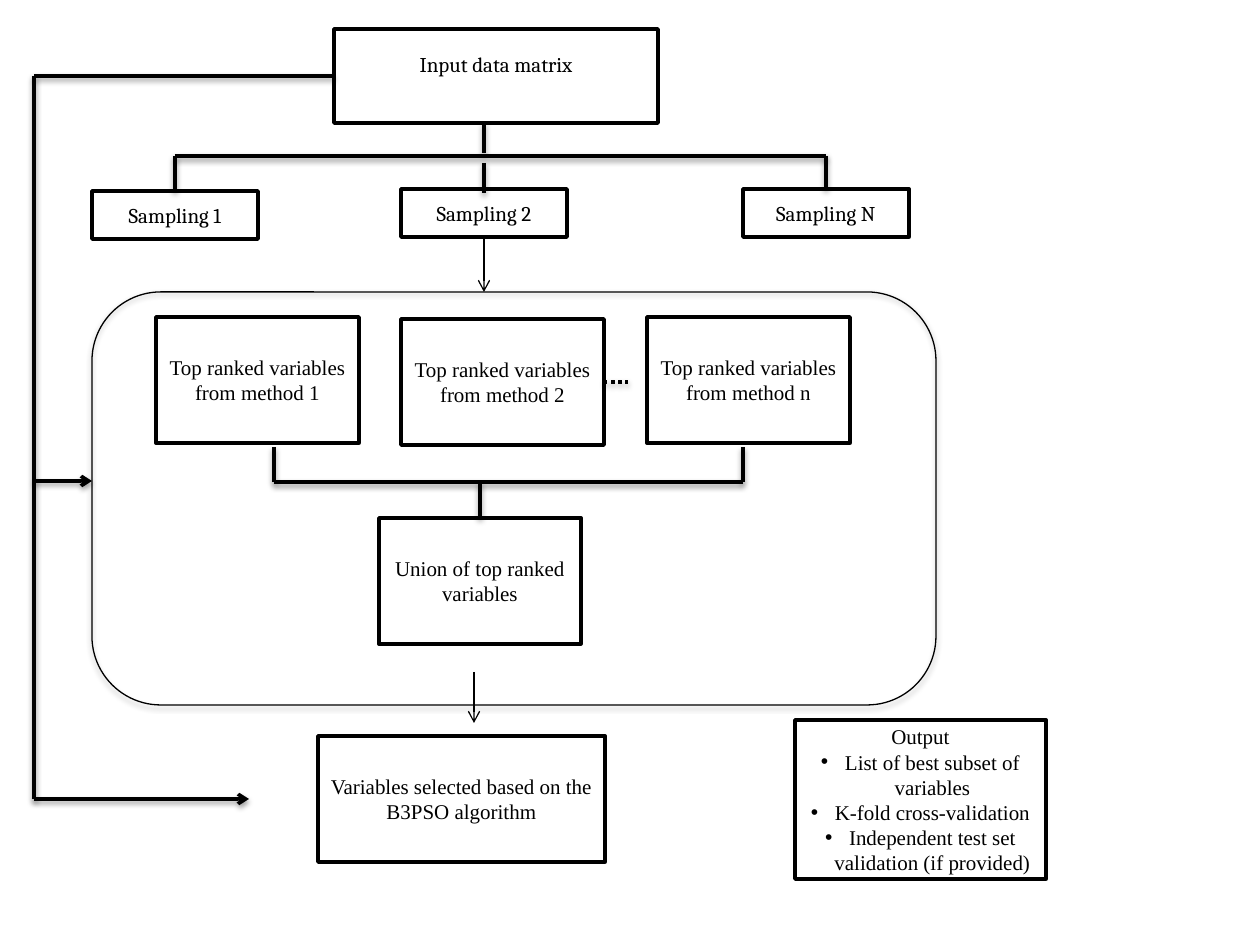
from pptx import Presentation
from pptx.dml.color import RGBColor
from pptx.enum.dml import MSO_LINE
from pptx.enum.shapes import MSO_CONNECTOR, MSO_SHAPE
from pptx.enum.text import MSO_ANCHOR, PP_ALIGN
from pptx.oxml.ns import qn
from pptx.util import Pt
from lxml.etree import SubElement

EMU_PER_PX = 914400 / 126
BLACK = "000000"
SERIF, HEADING = "Times New Roman", "Cambria"
TOP, LEFT, BOTTOM, RIGHT = range(4)


def px(length):
    """Turn pixels into EMU."""
    return round(length * EMU_PER_PX)


def color(hex_string):
    """Turn a hex string into a colour."""
    return RGBColor.from_string(hex_string)


def set_effect(shape, opacity=0):
    """Give a shape a soft shadow below it, or none at zero opacity."""
    effects = SubElement(shape.element.spPr, qn("a:effectLst"))
    if opacity:
        shadow = SubElement(effects, qn("a:outerShdw"), blurRad=str(Pt(3.1)),
                            dist=str(Pt(1.7)), dir="5400000", rotWithShape="0")
        tint = SubElement(shadow, qn("a:srgbClr"), val=BLACK)
        SubElement(tint, qn("a:alpha"), val=str(opacity * 1000))


def add_outline(slide, box, kind=MSO_SHAPE.FLOWCHART_PROCESS, width=2, opacity=0):
    """Add an unfilled shape with a black line."""
    shape = slide.shapes.add_shape(kind, *map(px, box))
    shape.fill.background()
    shape.line.color.rgb = color(BLACK)
    shape.line.width = Pt(width)
    set_effect(shape, opacity)
    return shape


def add_process(slide, box, text, font=SERIF):
    """Add a process box with centred text."""
    shape = add_outline(slide, box)
    frame = shape.text_frame
    frame.text = text
    frame.word_wrap = True
    frame.vertical_anchor = MSO_ANCHOR.MIDDLE
    for paragraph in frame.paragraphs:
        paragraph.alignment = PP_ALIGN.CENTER
        for run in paragraph.runs:
            run.font.name = font
            run.font.size = Pt(12)
            run.font.color.rgb = color(BLACK)
    return shape


def add_line(slide, start, end, width=2, opacity=38, arrow=False, dash=None,
             begin=None, finish=None):
    """Add a straight line, joined to (shape, side) pairs where given."""
    line = slide.shapes.add_connector(MSO_CONNECTOR.STRAIGHT, *map(px, start + end))
    if begin:
        line.begin_connect(*begin)
    if finish:
        line.end_connect(*finish)
    line.line.color.rgb = color(BLACK)
    line.line.width = Pt(width)
    if dash:
        line.line.dash_style = dash
    if arrow:
        SubElement(line.element.spPr.find(qn("a:ln")), qn("a:tailEnd"), type="arrow")
    set_effect(line, opacity)
    return line


def add_input(slide, box):
    """Add the input box, its text set a little above the middle."""
    shape = add_process(slide, box, "Input data matrix", HEADING)
    shape.text_frame.margin_bottom = px(30)
    return shape


def add_sampling(slide, box):
    """Add the sampling boxes under their branching line and the arrow below."""
    left, top, width, height = box
    middle, bar = left + 392, top + 33
    add_line(slide, (middle, top), (middle, top + 30))
    add_line(slide, (left + 83, bar), (left + width - 83, bar))
    samplings = [
        add_process(slide, (left + offset, top + drop, 166, 48), f"Sampling {name}", HEADING)
        for offset, drop, name in ((0, 68, 1), (309, 66, 2), (651, 66, "N"))
    ]
    for shape, offset in ((samplings[0], 83), (samplings[2], width - 83)):
        add_line(slide, (left + offset, bar), (left + offset, top + 66),
                 finish=(shape, TOP))
    add_line(slide, (middle, top + 40), (middle, top + 70))
    add_line(slide, (middle, top + 114), (middle, top + height), width=0.75,
             opacity=0, arrow=True, begin=(samplings[1], BOTTOM))


def add_ranking(slide, box):
    """Add the rounded frame with the ranking methods and their union."""
    left, top, width, height = box
    add_outline(slide, box, MSO_SHAPE.ROUNDED_RECTANGLE, width=0.75, opacity=35)
    methods = [
        add_process(slide, (left + offset, top + drop, 203, 126),
                    f"Top ranked variables from method {name}")
        for offset, drop, name in ((64, 25, 1), (309, 27, 2), (555, 25, "n"))
    ]
    add_line(slide, (left + 512, top + 90), (left + 536, top + 90),
             dash=MSO_LINE.ROUND_DOT, begin=(methods[1], RIGHT)).end_y = px(top + 90)
    union = add_process(slide, (left + 287, top + 226, 202, 126),
                        "Union of top ranked variables")
    bar, first, last = top + 190, left + 182, left + 651
    for column in (first, last):
        add_line(slide, (column, top + 155), (column, bar))
    add_line(slide, (first, bar), (last, bar))
    add_line(slide, (left + 388, bar), (left + 388, top + 226), finish=(union, TOP))


def add_selection(slide, box):
    """Add the selection box with the arrow that leads to it."""
    left, top, width, height = box
    add_line(slide, (left + 156, top), (left + 156, top + 51), width=0.75,
             opacity=0, arrow=True)
    add_process(slide, (left, top + 64, width, height - 64),
                "Variables selected based on the B3PSO algorithm")


def add_output(slide, box):
    """Add the output box with its bulleted list."""
    items = ["Output", "List of best subset of variables", "K-fold cross-validation",
             "Independent test set validation (if provided)"]
    shape = add_process(slide, box, "\n".join(items))
    for paragraph in shape.text_frame.paragraphs[1:]:
        properties = paragraph._p.get_or_add_pPr()
        properties.set("marL", str(px(24)))
        properties.set("indent", str(px(-24)))
        SubElement(properties, qn("a:buFont"), typeface="Arial")
        SubElement(properties, qn("a:buChar"), char="•")


def add_feed(slide, box, source):
    """Add the side line from the input to the ranking and the selection."""
    left, top, width, height = box
    bottom = top + height
    add_line(slide, (left + 300, top), (left, top), begin=(source, LEFT))
    add_line(slide, (left, top), (left, bottom))
    for length, level in ((58, top + 405), (width, bottom)):
        add_line(slide, (left, level), (left + length, level), arrow=True)


def main():
    """Build the flowchart slide."""
    presentation = Presentation()
    presentation.slide_width, presentation.slide_height = px(1260), px(945)
    slide = presentation.slides.add_slide(presentation.slide_layouts[6])
    add_ranking(slide, (92, 292, 844, 413))
    source = add_input(slide, (334, 29, 324, 94))
    add_selection(slide, (318, 672, 287, 190))
    add_output(slide, (795, 720, 251, 159))
    add_feed(slide, (34, 76, 215, 723), source)
    add_sampling(slide, (92, 123, 817, 169))
    presentation.save("out.pptx")


if __name__ == "__main__":
    main()
